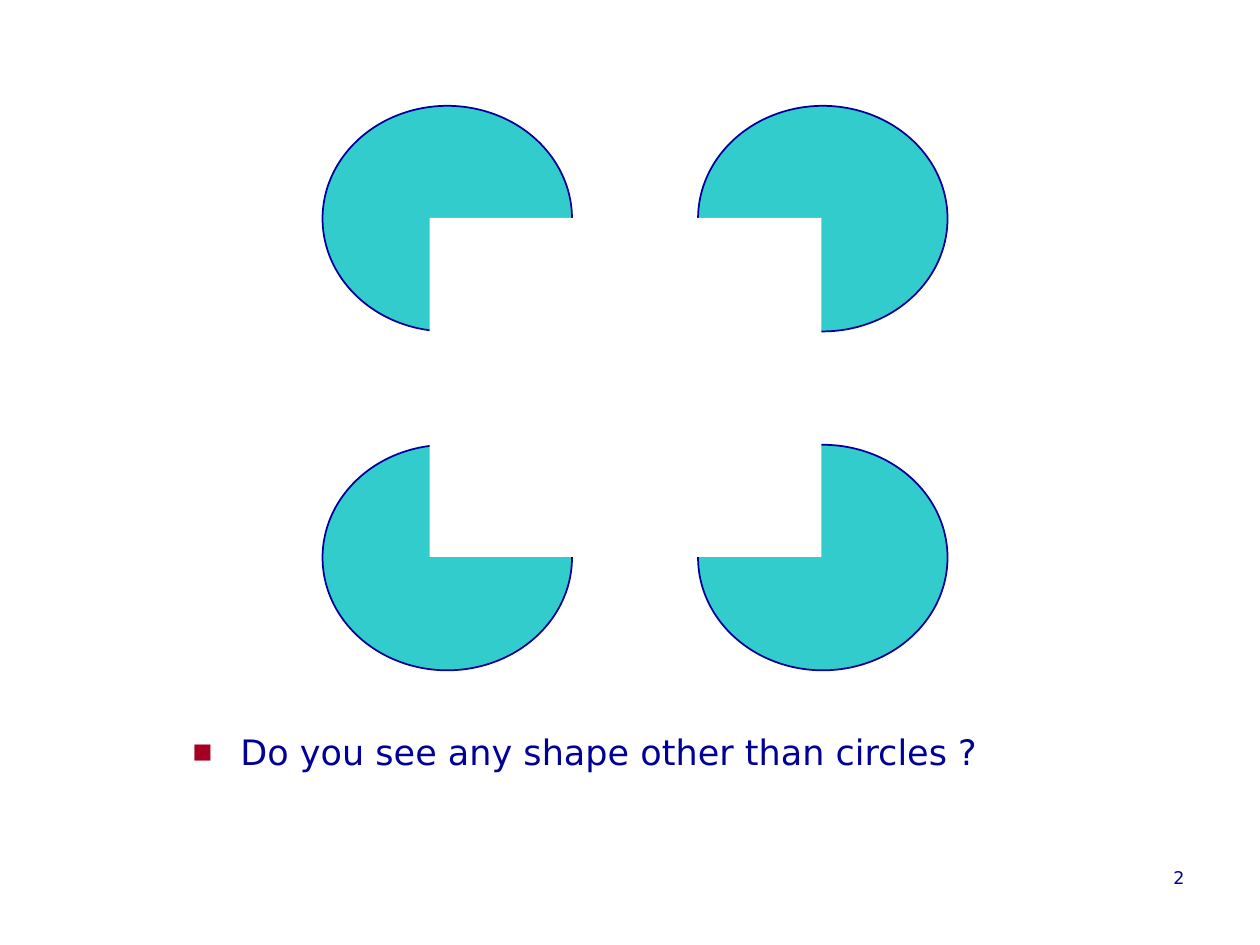
from dataclasses import dataclass
from itertools import product

from lxml.etree import SubElement
from pptx import Presentation
from pptx.dml.color import RGBColor
from pptx.enum.shapes import MSO_SHAPE
from pptx.enum.text import PP_ALIGN
from pptx.oxml.ns import qn
from pptx.util import Inches, Pt


@dataclass(frozen=True)
class Theme:
    font: str = "DejaVu Sans"
    ink: RGBColor = RGBColor.from_string("000099")
    disc: RGBColor = RGBColor.from_string("33CCCC")
    paper: RGBColor = RGBColor.from_string("FFFFFF")
    bullet: str = "A50021"
    question_size: int = 20
    number_size: int = 10
    line_width: int = 1


class SlideBuilder:
    def __init__(self, slide, theme):
        self.slide = slide
        self.theme = theme

    def add_group(self):
        return self.slide.shapes.add_group_shape()

    def add_figure(self, group, kind, box, fill, line=None):
        shape = group.shapes.add_shape(kind, *map(Inches, box))
        shape.shadow.inherit = False
        shape.fill.solid()
        shape.fill.fore_color.rgb = fill
        if line is None:
            shape.line.fill.background()
        else:
            shape.line.color.rgb = line
            shape.line.width = Pt(self.theme.line_width)

    def add_text(self, text, box, size, bullet=None, **paragraph_format):
        frame = self.slide.shapes.add_textbox(*map(Inches, box)).text_frame
        frame.word_wrap = True
        paragraph = frame.paragraphs[0]
        paragraph.text = text
        if bullet:
            self.add_bullet(paragraph, bullet)
        for name, value in paragraph_format.items():
            setattr(paragraph, name, value)
        font_format = {"name": self.theme.font, "size": Pt(size)}
        for name, value in font_format.items():
            setattr(paragraph.font, name, value)
        paragraph.font.color.rgb = self.theme.ink

    def add_bullet(self, paragraph, character, indent=0.38):
        properties = paragraph._p.get_or_add_pPr()
        properties.set("marL", str(Inches(indent)))
        properties.set("indent", str(-Inches(indent)))
        color = SubElement(properties, qn("a:buClr"))
        SubElement(color, qn("a:srgbClr"), val=self.theme.bullet)
        SubElement(properties, qn("a:buSzPct"), val="60000")
        SubElement(properties, qn("a:buFont"), typeface=self.theme.font)
        SubElement(properties, qn("a:buChar"), char=character)


def main():
    presentation = Presentation()
    presentation.slide_width = Inches(10)
    presentation.slide_height = Inches(7.5)
    slide = presentation.slides.add_slide(presentation.slide_layouts[6])
    theme = Theme()
    builder = SlideBuilder(slide, theme)

    # Question below the figure
    builder.add_text(
        "Do you see any shape other than circles ?",
        (1.43, 5.81, 6.82, 0.67),
        theme.question_size,
        bullet="■",
        line_spacing=0.8,
    )

    # Four discs, with a paper-coloured rectangle hiding their inner corners
    illusion = builder.add_group()
    for left, top in product((2.56, 5.54), (0.84, 3.53)):
        builder.add_figure(
            illusion, MSO_SHAPE.OVAL, (left, top, 1.98, 1.79), theme.disc, theme.ink
        )
    builder.add_figure(
        illusion, MSO_SHAPE.RECTANGLE, (3.41, 1.73, 3.11, 2.69), theme.paper
    )

    # Slide number
    builder.add_text(
        "2", (7.17, 6.83, 2.33, 0.5), theme.number_size, alignment=PP_ALIGN.RIGHT
    )

    presentation.save("out.pptx")


if __name__ == "__main__":
    main()
